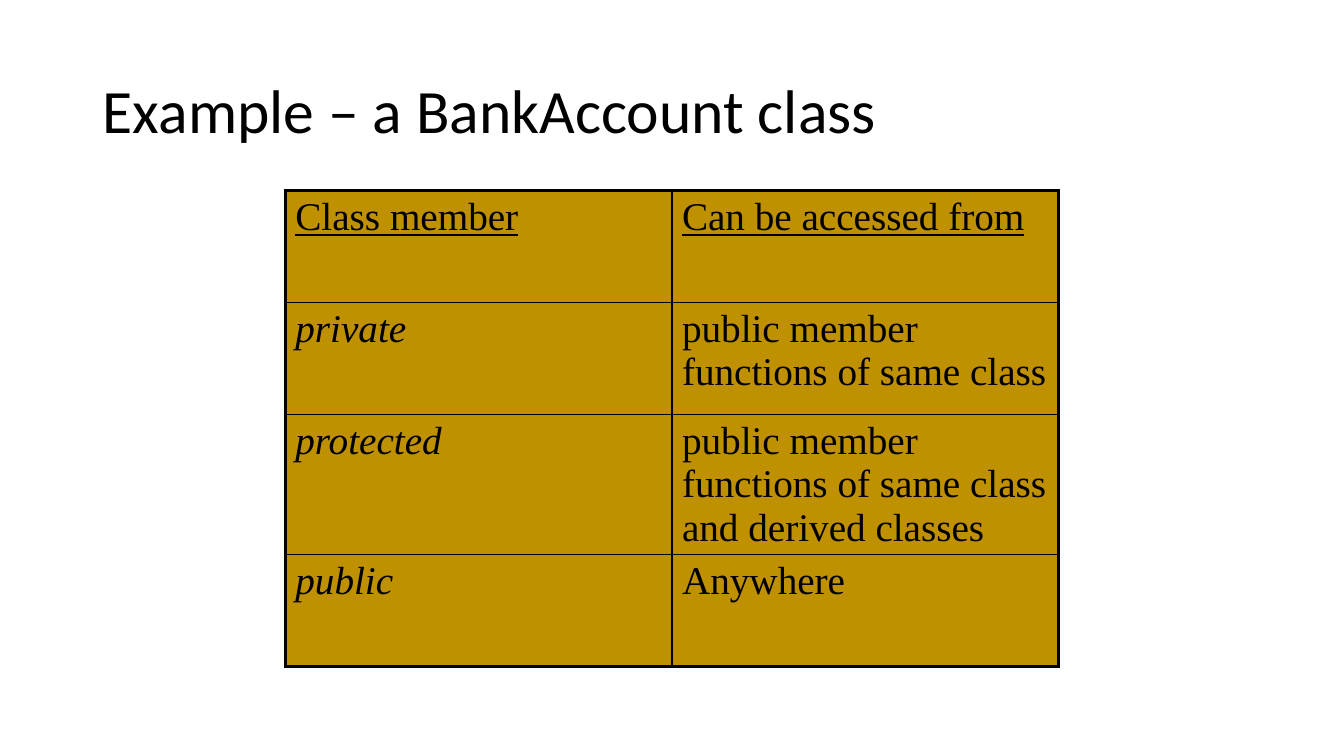
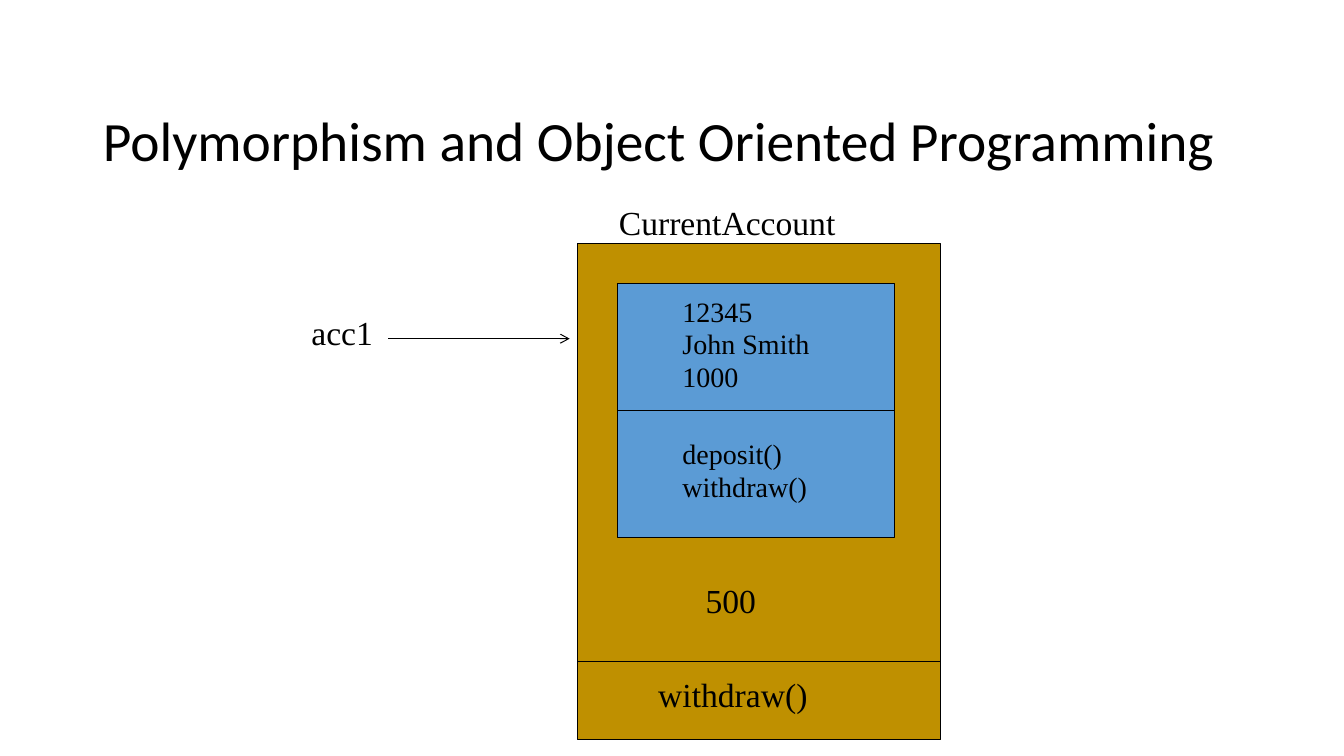
from dataclasses import dataclass

from lxml import etree
from pptx import Presentation
from pptx import util as u
from pptx.dml.color import RGBColor
from pptx.enum import shapes, text
from pptx.oxml.ns import qn

SCALE = 9144


@dataclass(frozen=True)
class Theme:
    ink: RGBColor = RGBColor(0x00, 0x00, 0x00)
    gold: RGBColor = RGBColor(0xBF, 0x90, 0x00)
    blue: RGBColor = RGBColor(0x5B, 0x9B, 0xD5)
    title_font: str = "Calibri"
    body_font: str = "Times New Roman"
    table_size: float = 28
    label_size: float = 24
    detail_size: float = 20
    title_spacing: float = 0.9
    hairline: float = 0.75
    inner_border: float = 1
    outer_border: float = 2.25


THEME = Theme()


@dataclass(frozen=True)
class Box:
    left: int
    top: int
    width: int
    height: int

    def emu(self) -> tuple[int, ...]:
        return tuple(px(v) for v in (self.left, self.top, self.width, self.height))


@dataclass(frozen=True)
class Label:
    lines: tuple[str, ...]
    box: Box
    size: float = THEME.label_size
    spacing: float = 1.0


@dataclass(frozen=True)
class Panel:
    box: Box
    fill: RGBColor


@dataclass(frozen=True)
class Line:
    start: tuple[int, int]
    end: tuple[int, int]
    arrow: bool = False


TITLE_BOX = Box(92, 40, 1150, 145)
ACCESS_BOX = Box(283, 189, 767, 444)
ACCESS_ROWS = (
    ("Class member", "Can be accessed from"),
    ("private", "public member functions of same class"),
    ("protected", "public member functions of same class and derived classes"),
    ("public", "Anywhere"),
)

CURRENT_ACCOUNT = Panel(Box(573, 242, 360, 492), THEME.gold)
BANK_ACCOUNT = Panel(Box(612, 281, 275, 252), THEME.blue)
ACCOUNT_LABELS = (
    Label(("acc1",), Box(299, 305, 175, 50)),
    Label(("CurrentAccount",), Box(604, 195, 292, 50)),
    Label(("500",), Box(690, 570, 102, 51)),
    Label(("withdraw()",), Box(643, 664, 350, 50)),
    Label(("12345", "John Smith", "1000"), Box(667, 289, 180, 101),
          THEME.detail_size, 0.97),
    Label(("deposit()", "withdraw()"), Box(667, 430, 195, 70),
          THEME.detail_size, 0.97),
)


def px(value: int) -> int:
    return u.Emu(value * SCALE)


def style_font(font, name: str, size: float) -> None:
    font.name = name
    font.size = u.Pt(size)
    font.color.rgb = THEME.ink


def titled_slide(deck, title: str, size: float, top_inset: int = 5):
    slide = deck.slides.add_slide(deck.slide_layouts[5])
    heading = slide.shapes.title
    heading.left, heading.top, heading.width, heading.height = TITLE_BOX.emu()
    frame = heading.text_frame
    frame.text = title
    frame.auto_size = text.MSO_AUTO_SIZE.NONE
    frame.vertical_anchor = text.MSO_ANCHOR.MIDDLE
    frame.margin_top = px(top_inset)
    paragraph = frame.paragraphs[0]
    paragraph.alignment = text.PP_ALIGN.LEFT
    paragraph.line_spacing = THEME.title_spacing
    style_font(paragraph.font, THEME.title_font, size)
    return slide


def set_borders(cell, widths: dict[str, float]) -> None:
    properties = cell._tc.get_or_add_tcPr()
    for position, (side, width) in enumerate(widths.items()):
        border = etree.Element(qn(f"a:{side}"), w=str(u.Pt(width)))
        fill = etree.SubElement(border, qn("a:solidFill"))
        etree.SubElement(fill, qn("a:srgbClr"), val=str(THEME.ink))
        properties.insert(position, border)


def draw_access_table(slide) -> None:
    row_count, column_count = len(ACCESS_ROWS), len(ACCESS_ROWS[0])
    table = slide.shapes.add_table(
        row_count, column_count, *ACCESS_BOX.emu()).table
    table.first_row = table.horz_banding = False
    for row, entries in enumerate(ACCESS_ROWS):
        for column, entry in enumerate(entries):
            cell = table.cell(row, column)
            cell.text = entry
            cell.fill.solid()
            cell.fill.fore_color.rgb = THEME.gold
            font = cell.text_frame.paragraphs[0].font
            style_font(font, THEME.body_font, THEME.table_size)
            font.underline = row == 0
            font.italic = row > 0 and column == 0
            outer = {
                "lnL": column == 0,
                "lnR": column == column_count - 1,
                "lnT": row == 0,
                "lnB": row == row_count - 1,
            }
            set_borders(cell, {
                side: THEME.outer_border if edge else THEME.inner_border
                for side, edge in outer.items()})


def draw_panel(slide, panel: Panel) -> None:
    rectangle = slide.shapes.add_shape(
        shapes.MSO_SHAPE.RECTANGLE, *panel.box.emu())
    rectangle.shadow.inherit = False
    rectangle.fill.solid()
    rectangle.fill.fore_color.rgb = panel.fill
    rectangle.line.color.rgb = THEME.ink
    rectangle.line.width = u.Pt(THEME.hairline)


def draw_label(slide, label: Label) -> None:
    frame = slide.shapes.add_textbox(*label.box.emu()).text_frame
    frame.word_wrap = True
    frame.auto_size = text.MSO_AUTO_SIZE.SHAPE_TO_FIT_TEXT
    frame.text = "\n".join(label.lines)
    for paragraph in frame.paragraphs:
        paragraph.line_spacing = label.spacing
        style_font(paragraph.font, THEME.body_font, label.size)


def draw_line(slide, line: Line) -> None:
    connector = slide.shapes.add_connector(
        shapes.MSO_CONNECTOR.STRAIGHT,
        *(px(v) for v in (*line.start, *line.end)))
    connector.line.color.rgb = THEME.ink
    connector.line.width = u.Pt(THEME.hairline)
    if line.arrow:
        etree.SubElement(
            connector.line._get_or_add_ln(), qn("a:tailEnd"), type="arrow")
    etree.SubElement(connector._element.spPr, qn("a:effectLst"))


def divider(panel: Panel, y: int) -> Line:
    return Line((panel.box.left, y), (panel.box.left + panel.box.width, y))


def draw_account_diagram(slide) -> None:
    for panel in (CURRENT_ACCOUNT, BANK_ACCOUNT):
        draw_panel(slide, panel)
    for label in ACCOUNT_LABELS:
        draw_label(slide, label)
    for line in (Line((385, 336), (565, 336), arrow=True),
                 divider(BANK_ACCOUNT, 407),
                 divider(CURRENT_ACCOUNT, 656)):
        draw_line(slide, line)


def main() -> None:
    deck = Presentation()
    deck.slide_width, deck.slide_height = px(1333), px(750)
    draw_access_table(titled_slide(deck, "Example – a BankAccount class", 44))
    draw_account_diagram(titled_slide(
        deck, "Polymorphism and Object Oriented Programming", 39.6, top_inset=65))
    deck.save("out.pptx")


if __name__ == "__main__":
    main()
